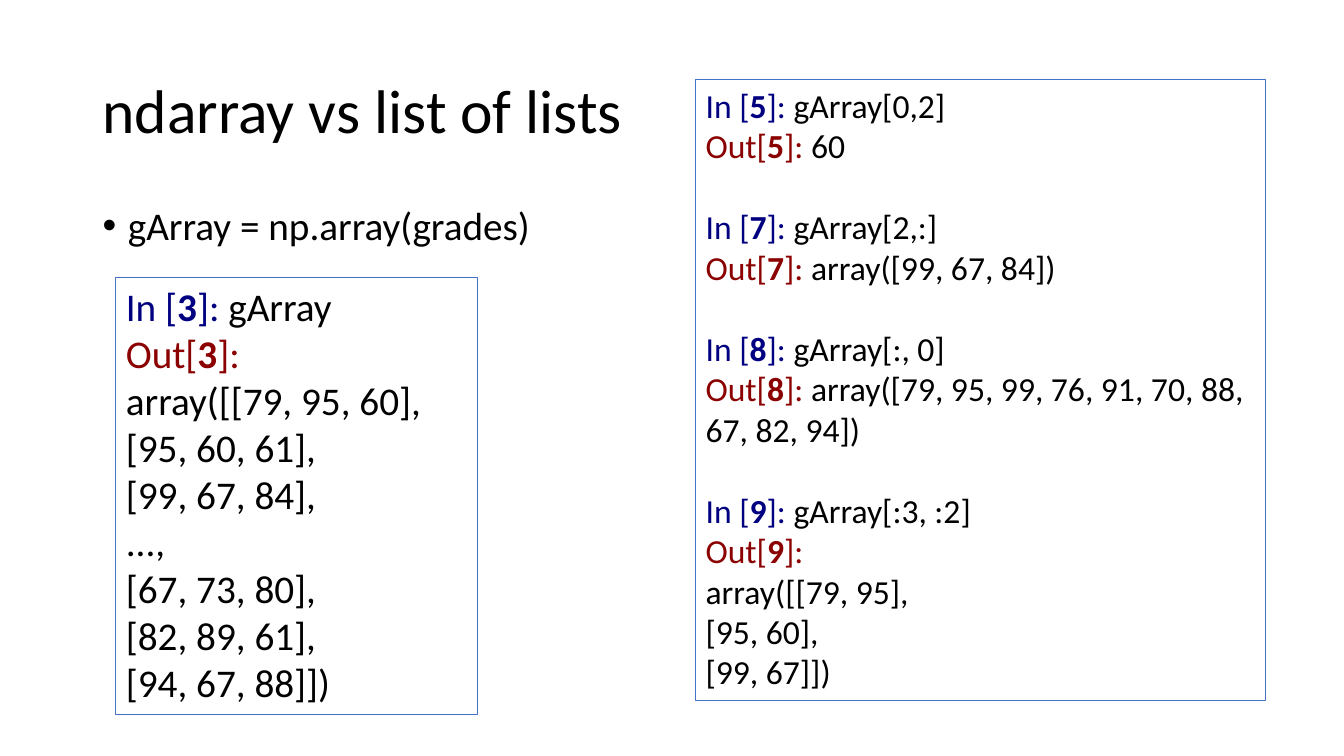
import pptx
import pptx.util
import pptx.dml.color
import pptx.enum.shapes
import pptx.enum.text
from lxml import etree

Inches, Pt = pptx.util.Inches, pptx.util.Pt

# Content: each session cell is (number, input, text beside Out, lines below Out)
TITLE = "ndarray vs list of lists"
BULLET = "gArray = np.array(grades)"
WHOLE_ARRAY = [
    ("3", "gArray", "", [
        "array([[79, 95, 60],", "[95, 60, 61],", "[99, 67, 84],", "...,",
        "[67, 73, 80],", "[82, 89, 61],", "[94, 67, 88]])"]),
]
INDEXING = [
    ("5", "gArray[0,2]", " 60", []),
    ("7", "gArray[2,:]", " array([99, 67, 84])", []),
    ("8", "gArray[:, 0]", " array([79, 95, 99, 76, 91, 70, 88, 67, 82, 94])", []),
    ("9", "gArray[:3, :2]", "", ["array([[79, 95],", "[95, 60],", "[99, 67]])"]),
]
# Session boxes: (left, top, width, height), text size, cells
SESSIONS = [
    ((1.15, 2.75, 3.59, 4.34), 28, WHOLE_ARRAY),
    ((6.9, 0.79, 5.65, 6.16), 24, INDEXING),
]
FONT = "Calibri"
BLACK, NAVY, DARK_RED, BORDER = "000000", "000080", "8B0000", "4472C4"
LINE_HEIGHT = 1.22  # one blank line, relative to the text size


def color(hex_string):
    return pptx.dml.color.RGBColor.from_string(hex_string)


def style(paragraph, size):
    paragraph.font.name = FONT
    paragraph.font.size = Pt(size)
    paragraph.font.color.rgb = color(BLACK)


def add_heading(text, box, size, anchor):
    heading = slide.shapes.add_textbox(*map(Inches, box))
    heading.text_frame.word_wrap = True
    heading.text_frame.vertical_anchor = anchor
    paragraph = heading.text_frame.paragraphs[0]
    paragraph.text = text
    paragraph.line_spacing = 0.9
    style(paragraph, size)
    return paragraph


def add_session(box, size, cells):
    session = slide.shapes.add_shape(
        pptx.enum.shapes.MSO_SHAPE.RECTANGLE, *map(Inches, box))
    session.shadow.inherit = False
    session.fill.background()
    session.line.color.rgb = color(BORDER)
    session.line.width = Pt(0.75)
    frame = session.text_frame
    frame.word_wrap = True
    frame.vertical_anchor = pptx.enum.text.MSO_ANCHOR.TOP

    # A line is a list of (text, color, bold) runs
    lines = []
    for number, entered, result, more in cells:
        lines.append([("In [", NAVY, False), (number, NAVY, True),
                      ("]: ", NAVY, False), (entered, BLACK, False)])
        lines.append([("Out[", DARK_RED, False), (number, DARK_RED, True),
                      ("]:", DARK_RED, False)])
        if result:
            lines[-1].append((result, BLACK, False))
        lines += [[(text, BLACK, False)] for text in more]

    for index, line in enumerate(lines):
        paragraph = frame.add_paragraph() if index else frame.paragraphs[0]
        paragraph.alignment = pptx.enum.text.PP_ALIGN.LEFT
        style(paragraph, size)
        if index and line[0][0] == "In [":
            paragraph.space_before = Pt(round(size * LINE_HEIGHT, 1))
        for text, ink, bold in line:
            run = paragraph.add_run()
            run.text = text
            run.font.bold = bold
            run.font.color.rgb = color(ink)


presentation = pptx.Presentation()
presentation.slide_width = Inches(13.33)
presentation.slide_height = Inches(7.5)
slide = presentation.slides.add_slide(presentation.slide_layouts[6])

# Title and bullet
add_heading(TITLE, (0.92, 0.4, 11.5, 1.45), 44, pptx.enum.text.MSO_ANCHOR.MIDDLE)
bullet = add_heading(BULLET, (0.92, 2, 11.5, 0.7), 28, pptx.enum.text.MSO_ANCHOR.TOP)
bullet.space_before = Pt(10)
properties = bullet._p.get_or_add_pPr()
properties.set("marL", str(Inches(0.25)))
properties.set("indent", str(Inches(-0.25)))
namespace = properties.nsmap["a"]
bullet_font = etree.Element(f"{{{namespace}}}buFont", typeface="Arial")
bullet_mark = etree.Element(f"{{{namespace}}}buChar", char="•")
defaults = properties.find(f"{{{namespace}}}defRPr")
defaults.addprevious(bullet_font)
defaults.addprevious(bullet_mark)

# Interactive sessions
for box, size, cells in SESSIONS:
    add_session(box, size, cells)

presentation.save("out.pptx")
